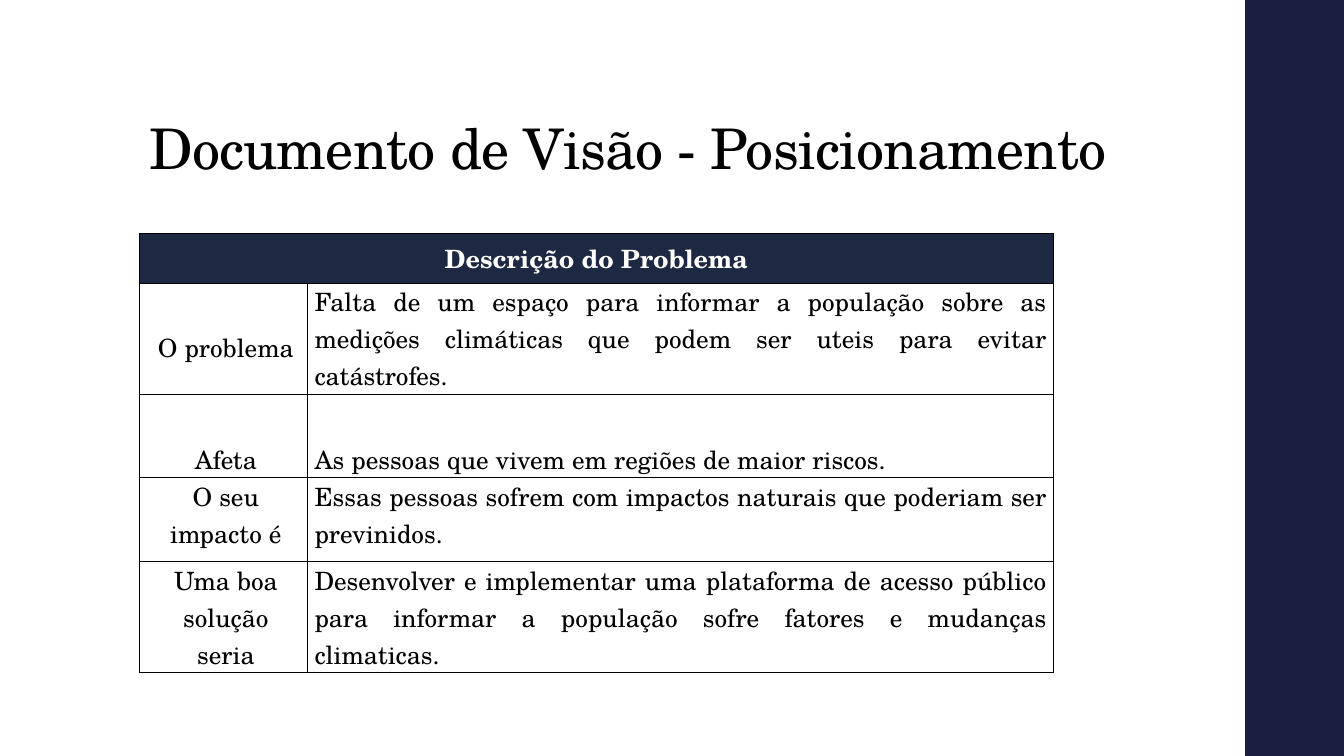
import dataclasses

import lxml.etree
import pptx
import pptx.dml.color
import pptx.enum.shapes
import pptx.enum.text
import pptx.oxml.ns
import pptx.util

Inches = pptx.util.Inches
Pt = pptx.util.Pt
Align = pptx.enum.text.PP_ALIGN
Anchor = pptx.enum.text.MSO_ANCHOR
qn = pptx.oxml.ns.qn

FONT = "TeX Gyre Schola"
COLORS = {"text": "000000", "white": "FFFFFF", "header": "1D2843", "band": "1B1E3E"}
COLUMN_WIDTHS = (1.67, 7.4)
HEADER_HEIGHT = 0.49
CELL_MARGINS = {"margin_left": 0.07, "margin_right": 0.07, "margin_top": 0, "margin_bottom": 0}
HEADER_MARGINS = {"margin_left": 0.1, "margin_right": 0.1, "margin_top": 0.05, "margin_bottom": 0.05}


@dataclasses.dataclass(frozen=True)
class ProblemRow:
    label: str
    description: str
    height: float
    anchor: Anchor = Anchor.TOP
    label_top: float = 0


PROBLEM_ROWS = (
    ProblemRow("O problema", "Falta de um espaço para informar a população sobre as medições "
               "climáticas que podem ser uteis para evitar catástrofes.", 1.1, label_top=0.45),
    ProblemRow("Afeta", "As pessoas que vivem em regiões de maior riscos.", 0.83, Anchor.BOTTOM),
    ProblemRow("O seu impacto é", "Essas pessoas sofrem com impactos naturais que poderiam ser "
               "previnidos.", 0.83),
    ProblemRow("Uma boa solução seria", "Desenvolver e implementar uma plataforma de acesso público "
               "para informar a população sofre fatores e mudanças climaticas.", 1.1),
)


def rgb(name: str) -> pptx.dml.color.RGBColor:
    return pptx.dml.color.RGBColor.from_string(COLORS[name])


def set_attributes(target: object, values: dict) -> None:
    for name, value in values.items():
        setattr(target, name, value)


def write_paragraph(paragraph, text: str, alignment: Align, size: float,
                    color: str = "text", bold: bool = False):
    paragraph.alignment = alignment
    run = paragraph.add_run()
    run.text = text
    set_attributes(run.font, {"name": FONT, "size": Pt(size), "bold": bold})
    run.font.color.rgb = rgb(color)
    return run


def add_borders(cell) -> None:
    properties = cell._tc.get_or_add_tcPr()
    for side in ("lnL", "lnR", "lnT", "lnB"):
        line = lxml.etree.SubElement(properties, qn(f"a:{side}"), w=str(Pt(1)))
        fill = lxml.etree.SubElement(line, qn("a:solidFill"))
        lxml.etree.SubElement(fill, qn("a:srgbClr"), val=COLORS["text"])


def format_cell(cell, fill: str, margins: dict, anchor: Anchor) -> None:
    set_attributes(cell, {name: Inches(value) for name, value in margins.items()})
    cell.vertical_anchor = anchor
    cell.fill.solid()
    cell.fill.fore_color.rgb = rgb(fill)


def add_band(slide) -> None:
    band = slide.shapes.add_shape(pptx.enum.shapes.MSO_SHAPE.RECTANGLE,
                                  Inches(12.35), 0, Inches(0.98), Inches(7.5))
    band.shadow.inherit = False
    band.fill.solid()
    band.fill.fore_color.rgb = rgb("band")
    band.line.fill.background()


def add_title(slide) -> None:
    title = slide.shapes.title
    set_attributes(title, {"left": Inches(1.38), "top": Inches(0.4),
                           "width": Inches(10.6), "height": Inches(1.45)})
    set_attributes(title.text_frame, {"vertical_anchor": Anchor.BOTTOM, "word_wrap": True,
                                      "auto_size": pptx.enum.text.MSO_AUTO_SIZE.NONE})
    paragraph = title.text_frame.paragraphs[0]
    paragraph.line_spacing = 0.9
    run = write_paragraph(paragraph, "Documento de Visão - Posicionamento", Align.LEFT, 40)
    run.font._element.set("spc", "-50")


def add_problem_table(slide) -> None:
    heights = [HEADER_HEIGHT] + [row.height for row in PROBLEM_ROWS]
    table = slide.shapes.add_table(len(heights), len(COLUMN_WIDTHS), Inches(1.38), Inches(2.32),
                                   Inches(sum(COLUMN_WIDTHS)), Inches(sum(heights))).table
    set_attributes(table, {"first_row": False, "horz_banding": False})
    for column, width in zip(table.columns, COLUMN_WIDTHS):
        column.width = Inches(width)
    for table_row, height in zip(table.rows, heights):
        table_row.height = Inches(height)
    for cell in table.iter_cells():
        add_borders(cell)

    header = table.cell(0, 0)
    header.merge(table.cell(0, 1))
    format_cell(header, "header", HEADER_MARGINS, Anchor.TOP)
    write_paragraph(header.text_frame.paragraphs[0], "Descrição do Problema",
                    Align.CENTER, 18, "white", True)

    for index, row in enumerate(PROBLEM_ROWS, start=1):
        label, description = table.cell(index, 0), table.cell(index, 1)
        for cell, text, alignment in ((label, row.label, Align.CENTER),
                                      (description, row.description, Align.JUSTIFY)):
            format_cell(cell, "white", CELL_MARGINS, row.anchor)
            write_paragraph(cell.text_frame.paragraphs[0], text, alignment, 18)
        label.margin_left = Inches(0.12)
        label.margin_top = Inches(row.label_top)


def main() -> None:
    presentation = pptx.Presentation()
    set_attributes(presentation, {"slide_width": Inches(13.33), "slide_height": Inches(7.5)})
    slide = presentation.slides.add_slide(presentation.slide_layouts[5])
    add_band(slide)
    add_title(slide)
    add_problem_table(slide)
    presentation.save("out.pptx")


if __name__ == "__main__":
    main()
